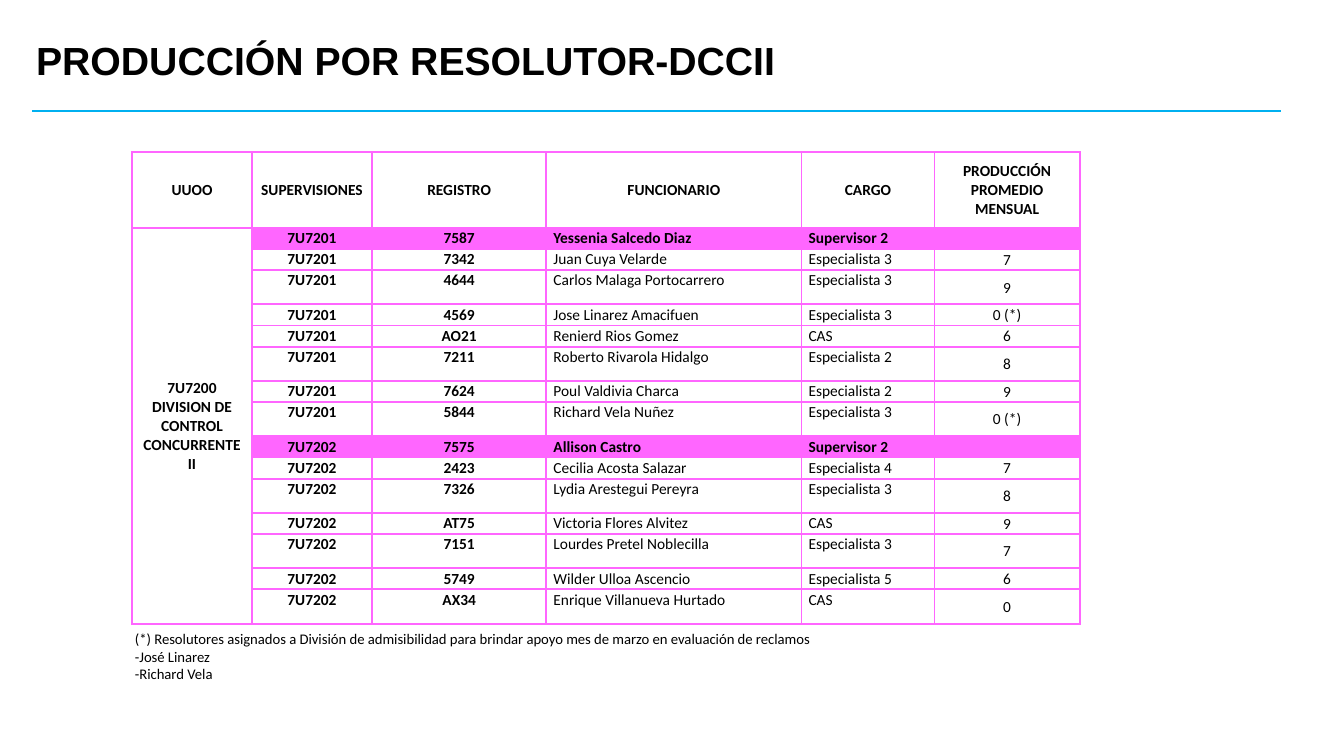
"""Builds the slide with average monthly output per DCCII staff member."""
from lxml import etree
from pptx import Presentation
from pptx.dml.color import RGBColor
from pptx.enum.shapes import MSO_CONNECTOR
from pptx.enum.text import MSO_ANCHOR, PP_ALIGN
from pptx.oxml.ns import qn
from pptx.util import Inches, Pt

LEFT, CENTER = PP_ALIGN.LEFT, PP_ALIGN.CENTER
TOP, MIDDLE = MSO_ANCHOR.TOP, MSO_ANCHOR.MIDDLE
STRAIGHT = MSO_CONNECTOR.STRAIGHT

BLACK, PINK, BLUE = "000000", "FF66FF", "00B0F0"
LOW, TALL, HEAD = 0.21, 0.34, 0.75

TITLE = "PRODUCCIÓN POR RESOLUTOR-DCCII"
UNIT = "7U7200 DIVISION DE CONTROL CONCURRENTE II"
HEADS = ["UUOO", "SUPERVISIONES", "REGISTRO", "FUNCIONARIO", "CARGO",
         "PRODUCCIÓN PROMEDIO MENSUAL"]
WIDTHS = [1.19, 1.19, 1.73, 2.53, 1.32, 1.44]
TEAMS = {
    "7U7201": [
        ("7587", "Yessenia Salcedo Diaz", "Supervisor 2", "", LOW),
        ("7342", "Juan Cuya Velarde", "Especialista 3", "7", LOW),
        ("4644", "Carlos Malaga Portocarrero", "Especialista 3", "9", TALL),
        ("4569", "Jose Linarez Amacifuen", "Especialista 3", "0 (*)", LOW),
        ("AO21", "Renierd Rios Gomez", "CAS", "6", LOW),
        ("7211", "Roberto Rivarola Hidalgo", "Especialista 2", "8", TALL),
        ("7624", "Poul Valdivia Charca", "Especialista 2", "9", LOW),
        ("5844", "Richard Vela Nuñez", "Especialista 3", "0 (*)", TALL),
    ],
    "7U7202": [
        ("7575", "Allison Castro", "Supervisor 2", "", LOW),
        ("2423", "Cecilia Acosta Salazar", "Especialista 4", "7", LOW),
        ("7326", "Lydia Arestegui Pereyra", "Especialista 3", "8", TALL),
        ("AT75", "Victoria Flores Alvitez", "CAS", "9", LOW),
        ("7151", "Lourdes Pretel Noblecilla", "Especialista 3", "7", TALL),
        ("5749", "Wilder Ulloa Ascencio", "Especialista 5", "6", LOW),
        ("AX34", "Enrique Villanueva Hurtado", "CAS", "0", TALL),
    ],
}
NOTES = [
    "(*) Resolutores asignados a División de admisibilidad para brindar "
    "apoyo mes de marzo en evaluación de reclamos",
    "-José Linarez",
    "-Richard Vela",
]


def color(code):
    return RGBColor.from_string(code)


def style(frame, face, size, bold=False, align=LEFT):
    for par in frame.paragraphs:
        par.alignment = align
        for run in par.runs:
            font = run.font
            font.name, font.size, font.bold = face, Pt(size), bold
            font.color.rgb = color(BLACK)
        if not par.runs:
            end = etree.SubElement(par._p, qn("a:endParaRPr"))
            end.set("sz", str(size * 100))


def add_text(slide, box, lines, face, size, bold=False, anchor=TOP):
    shape = slide.shapes.add_textbox(*map(Inches, box))
    frame = shape.text_frame
    frame.text = "\n".join(lines)
    frame.word_wrap = True
    frame.vertical_anchor = anchor
    style(frame, face, size, bold)
    return frame


def add_rule(slide, start, end):
    rule = slide.shapes.add_connector(STRAIGHT, *map(Inches, start + end))
    rule.line.color.rgb = color(BLUE)
    rule.line.width = Pt(1.5)
    etree.SubElement(rule._element.spPr, qn("a:effectLst"))


def add_edges(cell):
    props = cell._tc.get_or_add_tcPr()
    for spot, side in enumerate(("lnL", "lnR", "lnT", "lnB")):
        line = etree.Element(qn("a:" + side), w=str(Pt(1.5)))
        fill = etree.SubElement(line, qn("a:solidFill"))
        etree.SubElement(fill, qn("a:srgbClr"), val=PINK)
        props.insert(spot, line)


def fill_cell(cell, text, bold, align, anchor, lead):
    cell.text = text
    cell.margin_left = cell.margin_right = Inches(0.07)
    cell.margin_top, cell.margin_bottom = Inches(0.01), 0
    cell.vertical_anchor = anchor
    if lead:
        cell.fill.solid()
        cell.fill.fore_color.rgb = color(PINK)
    else:
        cell.fill.background()
    style(cell.text_frame, "Calibri", 11, bold, align)
    add_edges(cell)


def add_grid(slide):
    staff = [(team, *row) for team, rows in TEAMS.items() for row in rows]
    highs = [HEAD] + [row[-1] for row in staff]
    box = map(Inches, (1.31, 1.51, sum(WIDTHS), sum(highs)))
    grid = slide.shapes.add_table(len(highs), len(WIDTHS), *box).table
    grid.first_row = grid.horz_banding = False
    for col, width in zip(grid.columns, WIDTHS):
        col.width = Inches(width)
    for row, high in zip(grid.rows, highs):
        row.height = Inches(high)
    for col, text in enumerate(HEADS):
        fill_cell(grid.cell(0, col), text, True, CENTER, MIDDLE, False)
    for num, (*texts, _) in enumerate(staff, 1):
        lead = texts[3].startswith("Supervisor")
        unit = UNIT if num == 1 else ""
        fill_cell(grid.cell(num, 0), unit, True, CENTER, MIDDLE, False)
        for col, text in enumerate(texts, 1):
            align = LEFT if col in (3, 4) else CENTER
            anchor = MIDDLE if col == 5 else TOP
            fill_cell(grid.cell(num, col), text, lead or col < 3,
                      align, anchor, lead)
    grid.cell(1, 0).merge(grid.cell(len(staff), 0))


def main():
    deck = Presentation()
    deck.slide_width, deck.slide_height = Inches(13.33), Inches(7.5)
    slide = deck.slides.add_slide(deck.slide_layouts[6])
    add_rule(slide, (0.32, 1.1), (12.71, 1.1))
    title = add_text(slide, (0.26, 0.27, 11.5, 0.7), [TITLE],
                     "Arial", 28, True, MIDDLE)
    title.paragraphs[0].line_spacing = 0.9
    add_grid(slide)
    add_text(slide, (1.24, 6.2, 10.16, 0.63), NOTES, "Calibri", 10.5)
    deck.save("out.pptx")


if __name__ == "__main__":
    main()
